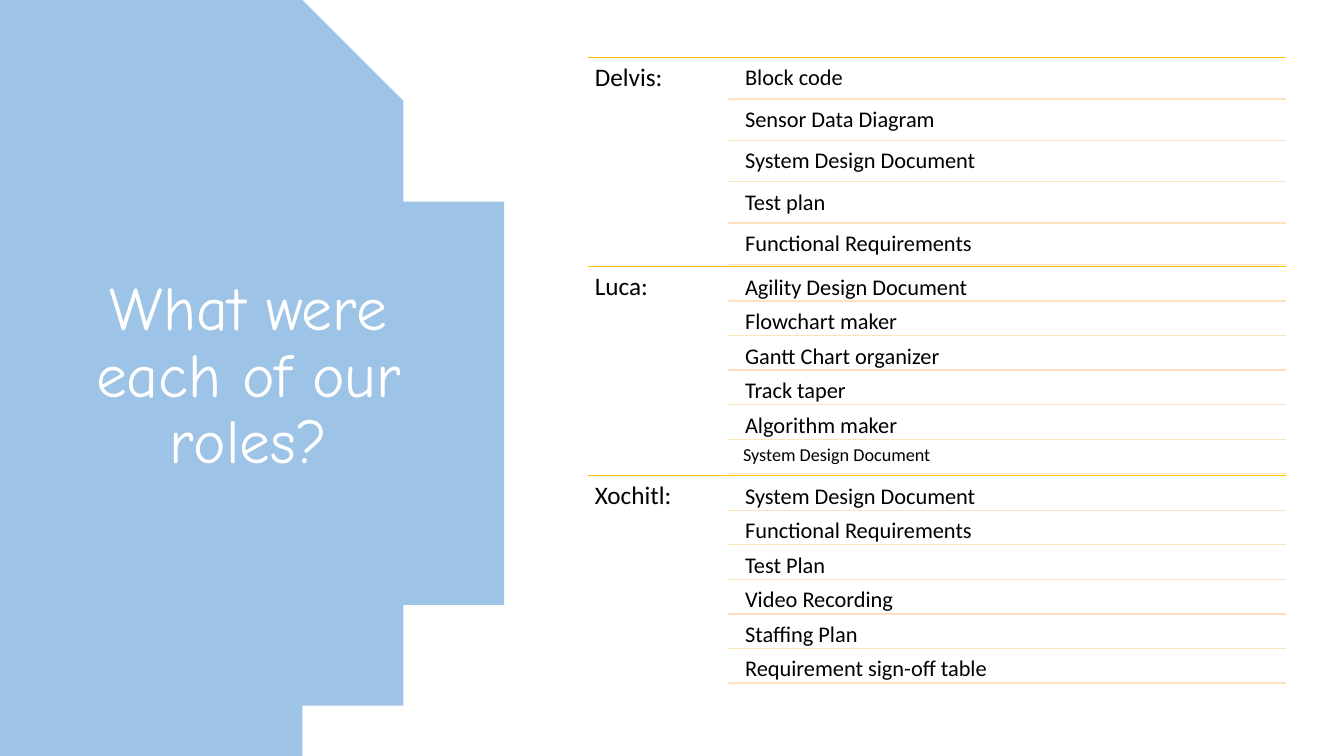
import lxml.etree
import pptx
import pptx.dml.color
import pptx.enum.shapes
import pptx.enum.text
import pptx.oxml.ns
import pptx.util

TITLE = "What were each of our roles?"
ROLES = {
    "Delvis:": [
        "Block code",
        "Sensor Data Diagram",
        "System Design Document",
        "Test plan",
        "Functional Requirements",
    ],
    "Luca:": [
        "Agility Design Document",
        "Flowchart maker",
        "Gantt Chart organizer",
        "Track taper",
        "Algorithm maker",
        ("System Design Document", 13, 0.05),
    ],
    "Xochitl:": [
        "System Design Document",
        "Functional Requirements",
        "Test Plan",
        "Video Recording",
        "Staffing Plan",
        "Requirement sign-off table",
    ],
}

COLORS = {
    "panel": "9DC3E6",
    "title": "FFFFFF",
    "text": "000000",
    "person_rule": "FFC000",
    "task_rule": "FFE2BD",
}
WIDTH, HEIGHT = 13.33, 7.5
PERSON_LEFT, RULE_LEFT, TASK_LEFT, RIGHT = 5.83, 7.22, 7.32, 12.75
TOP, BLOCK_HEIGHT, GAP = 0.57, 2.075, 0.02
CURVE = [(2.83, 0), (4.09, 0.77), (4.93, 2.16), (4.93, HEIGHT / 2)]
CURVE_STEPS = 40

inches = pptx.util.Inches


def rgb(name):
    return pptx.dml.color.RGBColor.from_string(COLORS[name])


def write(shape, text, font, inset, align, anchor):
    frame = shape.text_frame
    frame_format = {
        "word_wrap": True,
        "auto_size": pptx.enum.text.MSO_AUTO_SIZE.NONE,
        "vertical_anchor": anchor,
        "margin_left": inches(inset),
        "margin_right": inches(inset),
        "margin_top": inches(inset),
        "margin_bottom": inches(inset),
    }
    for name, value in frame_format.items():
        setattr(frame, name, value)
    paragraph = frame.paragraphs[0]
    paragraph_format = {
        "alignment": align,
        "line_spacing": 0.9,
        "space_before": pptx.util.Pt(0),
        "space_after": pptx.util.Pt(6),
    }
    for name, value in paragraph_format.items():
        setattr(paragraph, name, value)
    run = paragraph.add_run()
    run.text = text
    family, size, color = font
    for name, value in {"name": family, "size": pptx.util.Pt(size)}.items():
        setattr(run.font, name, value)
    run.font.color.rgb = rgb(color)


def add_label(shapes, text, box, size, inset=0.07):
    label = shapes.add_textbox(*map(inches, box))
    write(label, text, ("Calibri", size, "text"), inset,
          pptx.enum.text.PP_ALIGN.LEFT, pptx.enum.text.MSO_ANCHOR.TOP)


def add_rule(shapes, left, top, color):
    rule = shapes.add_connector(
        pptx.enum.shapes.MSO_CONNECTOR.STRAIGHT,
        inches(left), inches(top), inches(RIGHT), inches(top))
    rule.line.color.rgb = rgb(color)
    rule.line.width = pptx.util.Pt(1)
    lxml.etree.SubElement(rule.element.spPr, pptx.oxml.ns.qn("a:effectLst"))


def curve_point(t):
    weights = ((1 - t) ** 3, 3 * t * (1 - t) ** 2, 3 * t * t * (1 - t), t ** 3)
    return tuple(sum(weight * point[axis] for weight, point in zip(weights, CURVE))
                 for axis in (0, 1))


def add_panel(slide):
    upper = [curve_point(step / CURVE_STEPS) for step in range(CURVE_STEPS + 1)]
    lower = [(x, HEIGHT - y) for x, y in reversed(upper[:-1])]
    builder = slide.shapes.build_freeform(0, 0, scale=inches(1))
    builder.add_line_segments(upper + lower + [(0, HEIGHT)], close=True)
    panel = builder.convert_to_shape()
    panel.shadow.inherit = False
    panel.fill.solid()
    panel.fill.fore_color.rgb = rgb("panel")
    panel.line.fill.background()
    return panel


def add_title(slide, panel):
    title = slide.shapes.title
    title.element.addprevious(panel.element)
    box = {"left": 0.58, "top": 0.7, "width": 3.77, "height": 6.09}
    for name, value in box.items():
        setattr(title, name, inches(value))
    write(title, TITLE, ("Comic Neue", 44, "title"), 0.1,
          pptx.enum.text.PP_ALIGN.CENTER, pptx.enum.text.MSO_ANCHOR.MIDDLE)


def add_roles(slide):
    shapes = slide.shapes.add_group_shape().shapes
    for block, (person, tasks) in enumerate(ROLES.items()):
        top = TOP + block * BLOCK_HEIGHT
        add_rule(shapes, PERSON_LEFT, top, "person_rule")
        add_label(shapes, person, (PERSON_LEFT, top, 1.38, BLOCK_HEIGHT), 18)
        pitch = (BLOCK_HEIGHT - GAP) / len(tasks)
        for row, task in enumerate(tasks):
            text, size, inset = task if isinstance(task, tuple) else (task, 16, 0.07)
            row_top = top + GAP + row * pitch
            box = (TASK_LEFT, row_top, RIGHT - TASK_LEFT, pitch - GAP)
            add_label(shapes, text, box, size, inset)
            add_rule(shapes, RULE_LEFT, top + (row + 1) * pitch, "task_rule")


def main():
    presentation = pptx.Presentation()
    presentation.slide_width = inches(WIDTH)
    presentation.slide_height = inches(HEIGHT)
    slide = presentation.slides.add_slide(
        presentation.slide_layouts.get_by_name("Title Only"))
    add_title(slide, add_panel(slide))
    add_roles(slide)
    presentation.save("out.pptx")


if __name__ == "__main__":
    main()
